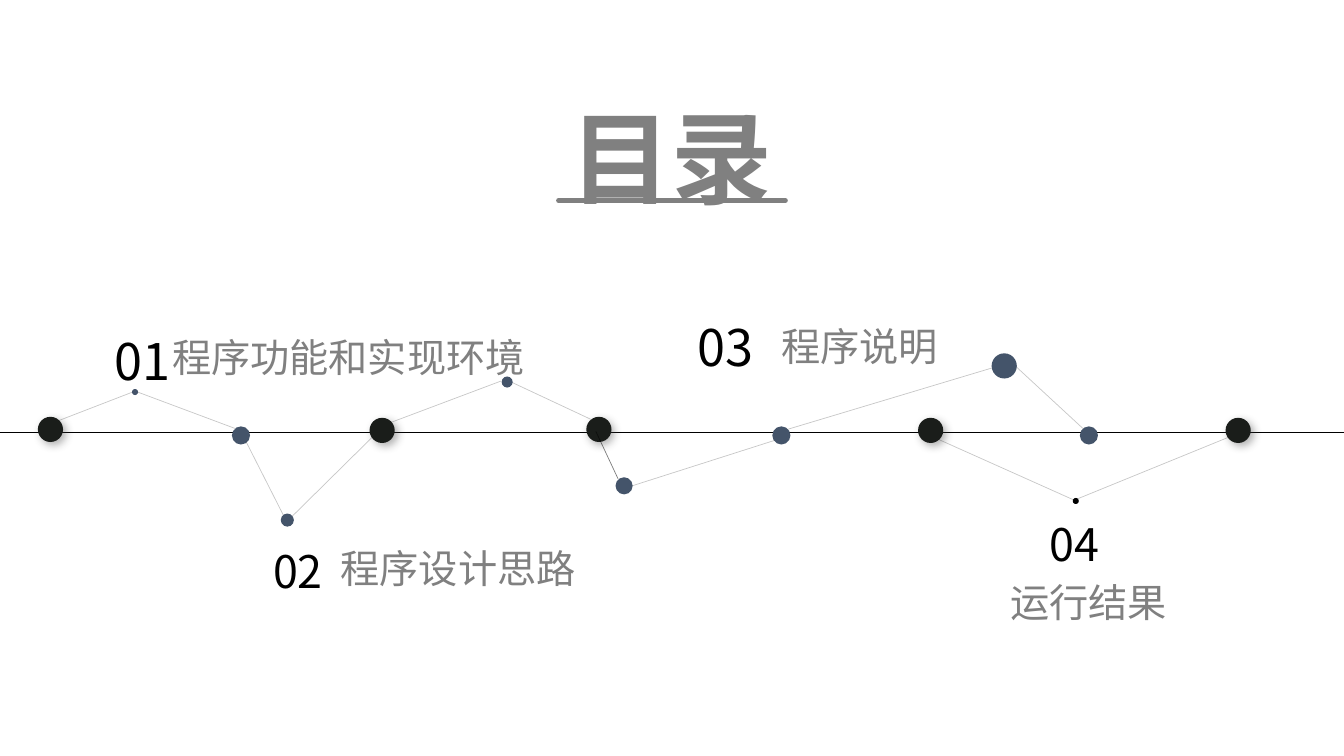
from lxml import etree
from pptx import Presentation, util as u
from pptx.dml.color import RGBColor
from pptx.enum import shapes, text
from pptx.oxml import parse_xml
from pptx.oxml.ns import nsdecls, qn

THEME = {
    "font": "Noto Sans CJK SC",
    "black": "000000", "gray": "808080", "dark": "1A1D1A", "slate": "44546A",
    "shadow": "404040",
    "title": 72, "number": 36, "number_small": 32, "label": 28,
    "axis": 0.75, "link": 0.5, "underline": 3.5,
}

AXIS_DOTS = [
    (2.39, 4.32, 0.18, "slate"), (0.5, 4.26, 0.25, "dark"),
    (3.79, 4.27, 0.25, "dark"), (7.75, 4.32, 0.18, "slate"),
    (5.94, 4.26, 0.25, "dark"), (9.23, 4.27, 0.25, "dark"),
    (10.8, 4.32, 0.18, "slate"), (12.28, 4.27, 0.25, "dark"),
]
PEAK_DOTS = [
    (2.85, 5.16, 0.13, "slate"), (5.03, 3.79, 0.11, "slate"),
    (6.19, 4.82, 0.17, "slate"), (9.96, 3.63, 0.25, "slate"),
    (1.34, 3.89, 0.06, "slate"), (10.67, 4.97, 0.06, "black"),
]
LINKS = [
    (0.59, 4.17, 1.34, 3.88, 21), (1.34, 3.88, 2.33, 4.25, 21),
    (2.44, 4.38, 2.81, 5.11, 21), (2.9, 5.12, 3.69, 4.34, 21),
    (3.88, 4.19, 4.97, 3.78, 21), (5.86, 4.16, 5.07, 3.79, 21),
    (5.91, 4.28, 6.13, 4.75, 51), (7.68, 4.37, 6.27, 4.82, 21),
    (9.84, 3.65, 7.81, 4.26, 21), (10.74, 4.25, 10.08, 3.64, 21),
    (10.65, 4.96, 9.31, 4.36, 21), (12.18, 4.34, 10.66, 4.96, 21),
]
NUMBERS = [
    ("01", 0.45, 3.23, 0.71, "number"), ("02", 1.99, 5.34, 0.64, "number_small"),
    ("03", 6.23, 3.09, 0.71, "number"), ("04", 9.69, 5.08, 0.64, "number_small"),
]
LABELS = [
    ("程序功能和实现环境", 1.61, 3.26, 3.8), ("程序说明", 7.65, 3.15, 3.62),
    ("程序设计思路", 3.28, 5.35, 3.62), ("运行结果", 9.92, 5.69, 3.62),
]
TITLE = ("目录", 4.2, 0.4, 4.92, 1.7)


def color(name):
    return RGBColor.from_string(THEME[name])


def apply(target, formats):
    for name, value in formats.items():
        setattr(target, name, value)


def add_line(slide, ends, ink, width, alpha=100, cap="flat"):
    line = slide.shapes.add_connector(
        shapes.MSO_CONNECTOR.STRAIGHT, *map(u.Inches, ends))
    line.line.width = u.Pt(THEME[width])
    line.line.color.rgb = color(ink)
    properties = line._element.spPr
    properties.find(qn("a:ln")).set("cap", cap)
    if alpha < 100:
        tint = properties.find(".//" + qn("a:srgbClr"))
        etree.SubElement(tint, qn("a:alpha")).set("val", str(alpha * 1000))
    etree.SubElement(properties, qn("a:effectLst"))


def add_dot(slide, x, y, size, ink):
    dot = slide.shapes.add_shape(
        shapes.MSO_SHAPE.OVAL,
        *map(u.Inches, (x - size / 2, y - size / 2, size, size)))
    dot.fill.solid()
    dot.fill.fore_color.rgb = color(ink)
    dot.line.fill.background()
    dot.shadow.inherit = False
    if ink == "dark":
        effects = dot._element.spPr.find(qn("a:effectLst"))
        effects.append(parse_xml(
            f'<a:outerShdw {nsdecls("a")} blurRad="{u.Pt(6)}" dist="{u.Pt(3)}" '
            f'dir="{45 * 60000}" algn="tl" rotWithShape="0">'
            f'<a:srgbClr val="{THEME["shadow"]}"><a:alpha val="40000"/></a:srgbClr>'
            '</a:outerShdw>'))


def add_text(slide, words, box, size, ink, paragraph_format, bold=False,
             anchor=text.MSO_ANCHOR.TOP):
    frame = slide.shapes.add_textbox(*map(u.Inches, box)).text_frame
    apply(frame, {"word_wrap": True, "vertical_anchor": anchor,
                  "auto_size": text.MSO_AUTO_SIZE.SHAPE_TO_FIT_TEXT})
    paragraph = frame.paragraphs[0]
    apply(paragraph, paragraph_format)
    run = paragraph.add_run()
    run.text = words
    apply(run.font, {"name": THEME["font"], "size": u.Pt(THEME[size]), "bold": bold})
    run.font.color.rgb = color(ink)
    etree.SubElement(run.font._element, qn("a:ea")).set("typeface", THEME["font"])


def main():
    presentation = Presentation()
    apply(presentation, {"slide_width": u.Inches(13.33), "slide_height": u.Inches(7.5)})
    slide = presentation.slides.add_slide(presentation.slide_layouts[6])
    centered = {"alignment": text.PP_ALIGN.CENTER}

    add_line(slide, (5.54, 1.99, 7.79, 1.99), "gray", "underline", cap="rnd")
    add_line(slide, (0, 4.29, 13.33, 4.29), "black", "axis")
    for dot in AXIS_DOTS:
        add_dot(slide, *dot)
    for *ends, alpha in LINKS:
        add_line(slide, ends, "black", "link", alpha)
    for dot in PEAK_DOTS:
        add_dot(slide, *dot)
    for words, x, y, height, size in NUMBERS:
        add_text(slide, words, (x, y, 1.93, height), size, "black", centered)
    for words, x, y, width in LABELS:
        add_text(slide, words, (x, y, width, 0.57), "label", "gray", {})
    words, *box = TITLE
    add_text(slide, words, box, "title", "gray", {**centered, "line_spacing": 1.5},
             bold=True, anchor=text.MSO_ANCHOR.MIDDLE)

    presentation.save("out.pptx")


if __name__ == "__main__":
    main()
